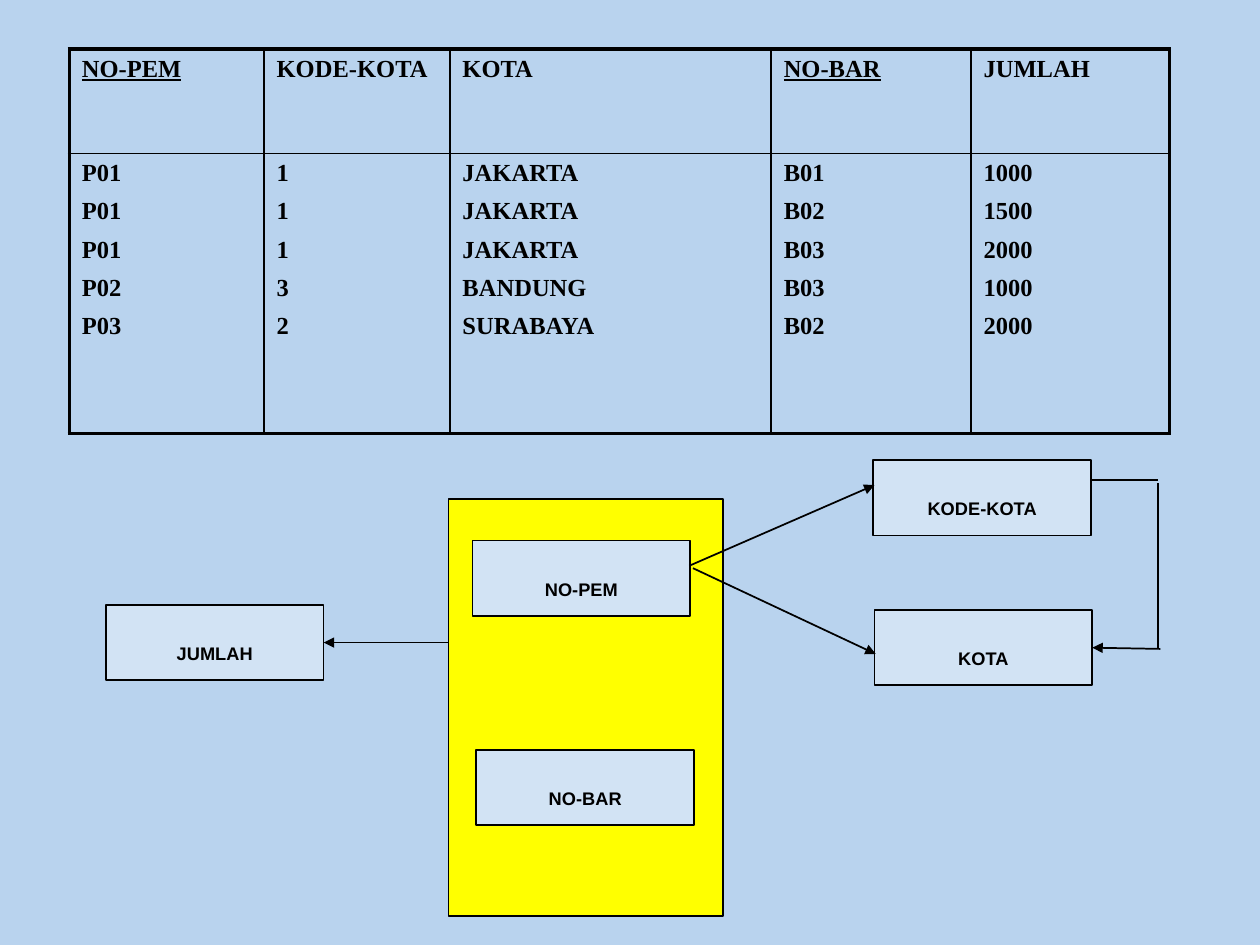
from lxml import etree
from pptx import Presentation
from pptx.dml.color import RGBColor
from pptx.enum.shapes import MSO_CONNECTOR as CONN, MSO_SHAPE as SHAPE
from pptx.enum.text import MSO_ANCHOR as ANCHOR, PP_ALIGN as ALIGN
from pptx.oxml.ns import qn
from pptx.util import Pt

BLACK, SKY, PALE, YELLOW = "000000", "B9D3EE", "D2E3F4", "FFFF00"
THIN, THICK = 1, 2.25
BOX_W, BOX_H = 124.5, 43.2
LEFT, RIGHT = 1, 3

COL_WIDTHS = [111.3, 106.2, 183.6, 114.2, 113.4]
ROW_HEIGHTS = [59.5, 160]
KEYS = ("NO-PEM", "NO-BAR")
COLUMNS = {
    "NO-PEM": ["P01", "P01", "P01", "P02", "P03"],
    "KODE-KOTA": ["1", "1", "1", "3", "2"],
    "KOTA": ["JAKARTA", "JAKARTA", "JAKARTA", "BANDUNG", "SURABAYA"],
    "NO-BAR": ["B01", "B02", "B03", "B03", "B02"],
    "JUMLAH": ["1000", "1500", "2000", "1000", "2000"],
}


def rgb(color):
    return RGBColor.from_string(color)


def style_run(r, font, size):
    r.font.name, r.font.size, r.font.bold = font, Pt(size), True
    r.font.color.rgb = rgb(BLACK)


def set_borders(cell, widths):
    tcPr = cell._tc.get_or_add_tcPr()
    for side, width in widths.items():
        ln = etree.SubElement(tcPr, qn(f"a:ln{side}"), w=str(Pt(width)))
        fill = etree.SubElement(ln, qn("a:solidFill"))
        etree.SubElement(fill, qn("a:srgbClr"), val=BLACK)


def fill_cell(cell, lines, underline=False):
    tf = cell.text_frame
    tf.text = "\n".join(lines)
    for i, p in enumerate(tf.paragraphs):
        p.space_before = Pt(6.4 if i else 0)
        for r in p.runs:
            style_run(r, "Times New Roman", 14)
            r.font.underline = underline


def add_data_table(s, left, top):
    width, height = sum(COL_WIDTHS), sum(ROW_HEIGHTS)
    table = s.shapes.add_table(2, len(COLUMNS), Pt(left), Pt(top), Pt(width), Pt(height)).table
    table.first_row = table.horz_banding = False
    for row, h in zip(table.rows, ROW_HEIGHTS):
        row.height = Pt(h)
    last = len(COLUMNS) - 1
    for c, (name, values) in enumerate(COLUMNS.items()):
        table.columns[c].width = Pt(COL_WIDTHS[c])
        fill_cell(table.cell(0, c), [name], name in KEYS)
        fill_cell(table.cell(1, c), values)
        # Thick outer frame, thin inner rules
        for row in (0, 1):
            cell = table.cell(row, c)
            set_borders(cell, {
                "L": THICK if c == 0 else THIN,
                "R": THICK if c == last else THIN,
                "T": THICK if row == 0 else THIN,
                "B": THICK if row == 1 else THIN,
            })
            cell.fill.background()


def add_box(s, x, y, w=BOX_W, h=BOX_H, color=PALE, label=None):
    sp = s.shapes.add_shape(SHAPE.RECTANGLE, Pt(x), Pt(y), Pt(w), Pt(h))
    sp.shadow.inherit = False
    sp.fill.solid()
    sp.fill.fore_color.rgb = rgb(color)
    sp.line.color.rgb = rgb(BLACK)
    sp.line.width = Pt(THIN)
    if label:
        tf = sp.text_frame
        tf.word_wrap = False
        tf.vertical_anchor = ANCHOR.MIDDLE
        tf.text = label
        p = tf.paragraphs[0]
        p.alignment = ALIGN.CENTER
        r = p.runs[0]
        style_run(r, "Arial", 18)
        r.font._element.set("baseline", "-25000")
    return sp


def add_line(s, start, end, arrow=False):
    cn = s.shapes.add_connector(CONN.STRAIGHT, *(Pt(v) for v in (*start, *end)))
    cn.line.color.rgb = rgb(BLACK)
    cn.line.width = Pt(THIN)
    if arrow:
        etree.SubElement(cn.line._get_or_add_ln(), qn("a:tailEnd"), type="triangle")
    etree.SubElement(cn._element.spPr, qn("a:effectLst"))
    return cn


def add_dependency_diagram(s, left, top):
    def at(x, y):
        return left + x, top + y

    # Composite key and the attributes around it
    jumlah = add_box(s, *at(0, 82.8), label="JUMLAH")
    add_box(s, *at(195.8, 22.3), 157, 238.3, YELLOW)
    add_box(s, *at(209.5, 46.1), label="NO-PEM")
    add_box(s, *at(211.7, 165.6), label="NO-BAR")
    add_box(s, *at(438.5, 0), label="KODE-KOTA")
    kota = add_box(s, *at(439.2, 85.7), label="KOTA")

    # Key to JUMLAH
    mid = 82.8 + BOX_H / 2
    add_line(s, at(195.8, mid), at(BOX_W, mid), True).end_connect(jumlah, RIGHT)

    # NO-PEM to KODE-KOTA and KOTA
    add_line(s, at(333.4, 60.5), at(439.2, 14.4), True)
    add_line(s, at(335.5, 61.9), at(439.9, 110.9), True)

    # KODE-KOTA around to KOTA
    bend = 601.2
    add_line(s, at(bend, 11.5), at(562.3, 11.5))
    add_line(s, at(bend, 107.3), at(bend, 13))
    add_line(s, at(602.6, 108), at(563.7, 107.3), True).end_connect(kota, RIGHT)


def main():
    prs = Presentation()
    prs.slide_width, prs.slide_height = Pt(720), Pt(540)
    s = prs.slides.add_slide(prs.slide_layouts[6])
    s.background.fill.solid()
    s.background.fill.fore_color.rgb = rgb(SKY)
    add_dependency_diagram(s, 60.5, 262.8)
    add_data_table(s, 39.6, 28.1)
    prs.save("out.pptx")


if __name__ == "__main__":
    main()
